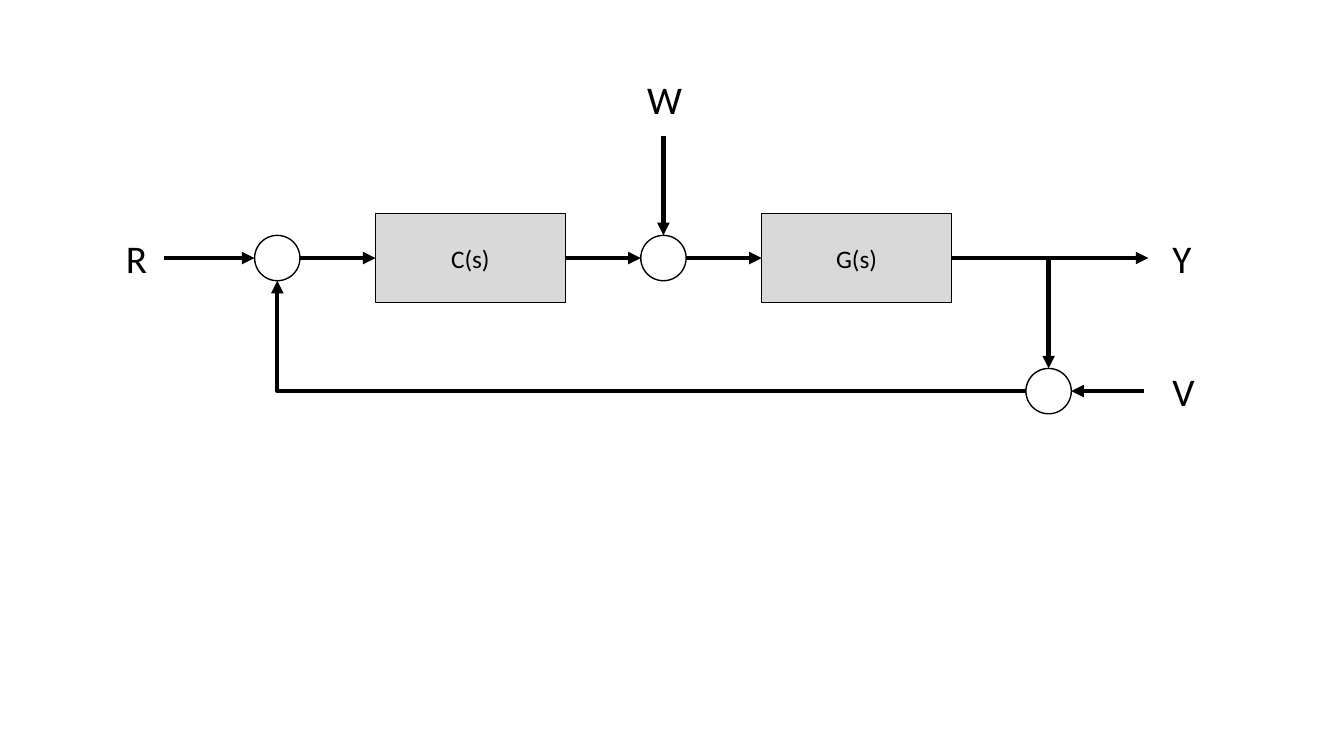
from pptx import Presentation
from pptx.dml.color import RGBColor
from pptx.enum.shapes import MSO_CONNECTOR, MSO_SHAPE
from pptx.enum.text import MSO_ANCHOR, MSO_AUTO_SIZE, PP_ALIGN
from pptx.oxml.ns import qn
from pptx.util import Inches, Pt
from lxml.etree import SubElement

COLORS = {"ink": "000000", "block": "D9D9D9", "sum": "FFFFFF"}
FONT = "Calibri"
BLOCK_W, BLOCK_H = 1.88, 0.88
SUM_D = 0.45
R = SUM_D / 2
GAP = 0.75  # arrow length between neighbouring parts


def rgb(name):
    return RGBColor.from_string(COLORS[name])


def style_text(p, size):
    p.font.size = Pt(size)
    p.font.name = FONT
    p.font.color.rgb = rgb("ink")


def add_node(s, kind, x, y, w, h, fill, line_w):
    """Outlined shape with its left edge at x, centred on height y."""
    sp = s.shapes.add_shape(kind, Inches(x), Inches(y - h / 2), Inches(w), Inches(h))
    sp.shadow.inherit = False
    sp.fill.solid()
    sp.fill.fore_color.rgb = rgb(fill)
    sp.line.color.rgb = rgb("ink")
    sp.line.width = Pt(line_w)
    return sp


def add_block(s, text, x, y):
    sp = add_node(s, MSO_SHAPE.RECTANGLE, x, y, BLOCK_W, BLOCK_H, "block", 0.5)
    tf = sp.text_frame
    tf.text = text
    tf.vertical_anchor = MSO_ANCHOR.MIDDLE
    p = tf.paragraphs[0]
    p.alignment = PP_ALIGN.CENTER
    style_text(p, 18)


def add_sum(s, cx, cy):
    add_node(s, MSO_SHAPE.OVAL, cx - R, cy, SUM_D, SUM_D, "sum", 1)


def add_arrow(s, x1, y1, x2, y2, kind=MSO_CONNECTOR.STRAIGHT):
    c = s.shapes.add_connector(kind, Inches(x1), Inches(y1), Inches(x2), Inches(y2))
    c.line.color.rgb = rgb("ink")
    c.line.width = Pt(3)
    spPr = c._element.spPr
    SubElement(spPr.find(qn("a:ln")), qn("a:tailEnd"), type="triangle")
    SubElement(spPr, qn("a:effectLst"))
    return c


def add_corner_arrow(s, x1, y1, x2, y2):
    """Runs left from (x1, y1), then up to (x2, y2): one bend, turned by 180°."""
    spPr = add_arrow(s, x2, y2, x1, y1, MSO_CONNECTOR.ELBOW)._element.spPr
    spPr.find(qn("a:prstGeom")).set("prst", "bentConnector2")
    spPr.find(qn("a:xfrm")).set("rot", "10800000")


def add_label(s, text, x, y, w):
    sp = s.shapes.add_textbox(Inches(x), Inches(y), Inches(w), Inches(0.57))
    tf = sp.text_frame
    tf.text = text
    tf.word_wrap = False
    tf.auto_size = MSO_AUTO_SIZE.SHAPE_TO_FIT_TEXT
    style_text(tf.paragraphs[0], 28)


def add_control_loop(s, left, top):
    """Feedback loop; left and top are the corner of its bounding box."""
    forward_y = top + 1.86
    feedback_y = forward_y + 1.32
    label_x = left + 10.38
    sum_x = left + 1.6
    pitch = SUM_D + BLOCK_W + 2 * GAP  # one summing point and block to the next
    noise_x = left + 9.25

    # Forward path: summing point, arrow, block
    for i, name in enumerate(["C(s)", "G(s)"]):
        cx = sum_x + i * pitch
        block_x = cx + R + GAP
        add_sum(s, cx, forward_y)
        add_block(s, name, block_x, forward_y)
        add_arrow(s, cx + R, forward_y, block_x, forward_y)
    block_end = block_x + BLOCK_W
    add_arrow(s, sum_x + pitch - R - GAP, forward_y, sum_x + pitch - R, forward_y)
    add_arrow(s, block_end, forward_y, left + 10.24, forward_y)

    # Feedback path
    add_sum(s, noise_x, feedback_y)
    add_arrow(s, noise_x, forward_y, noise_x, feedback_y - R)
    add_corner_arrow(s, noise_x - R, feedback_y, sum_x, forward_y + R)

    # External inputs
    add_arrow(s, left + 0.48, forward_y, sum_x - R, forward_y)
    add_arrow(s, left + 10.2, feedback_y, noise_x + R, feedback_y)
    add_arrow(s, sum_x + pitch, top + 0.65, sum_x + pitch, forward_y - R)

    # Signal names
    add_label(s, "R", left, forward_y - 0.28, 0.42)
    add_label(s, "W", left + 5.17, top, 0.55)
    add_label(s, "Y", label_x, forward_y - 0.28, 0.39)
    add_label(s, "V", label_x, feedback_y - 0.29, 0.42)


def main():
    prs = Presentation()
    prs.slide_width, prs.slide_height = Inches(13.33), Inches(7.5)
    s = prs.slides.add_slide(prs.slide_layouts[6])
    add_control_loop(s, 1.15, 0.7)
    prs.save("out.pptx")


if __name__ == "__main__":
    main()
